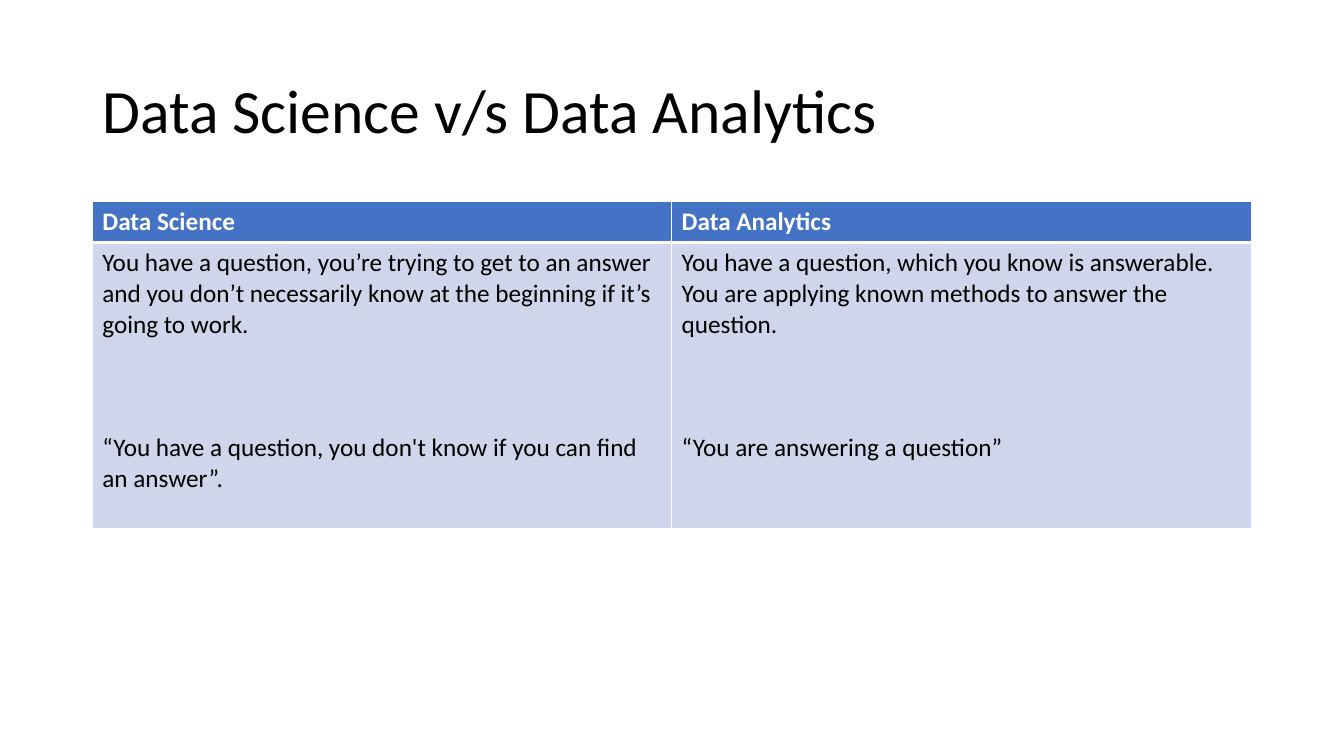
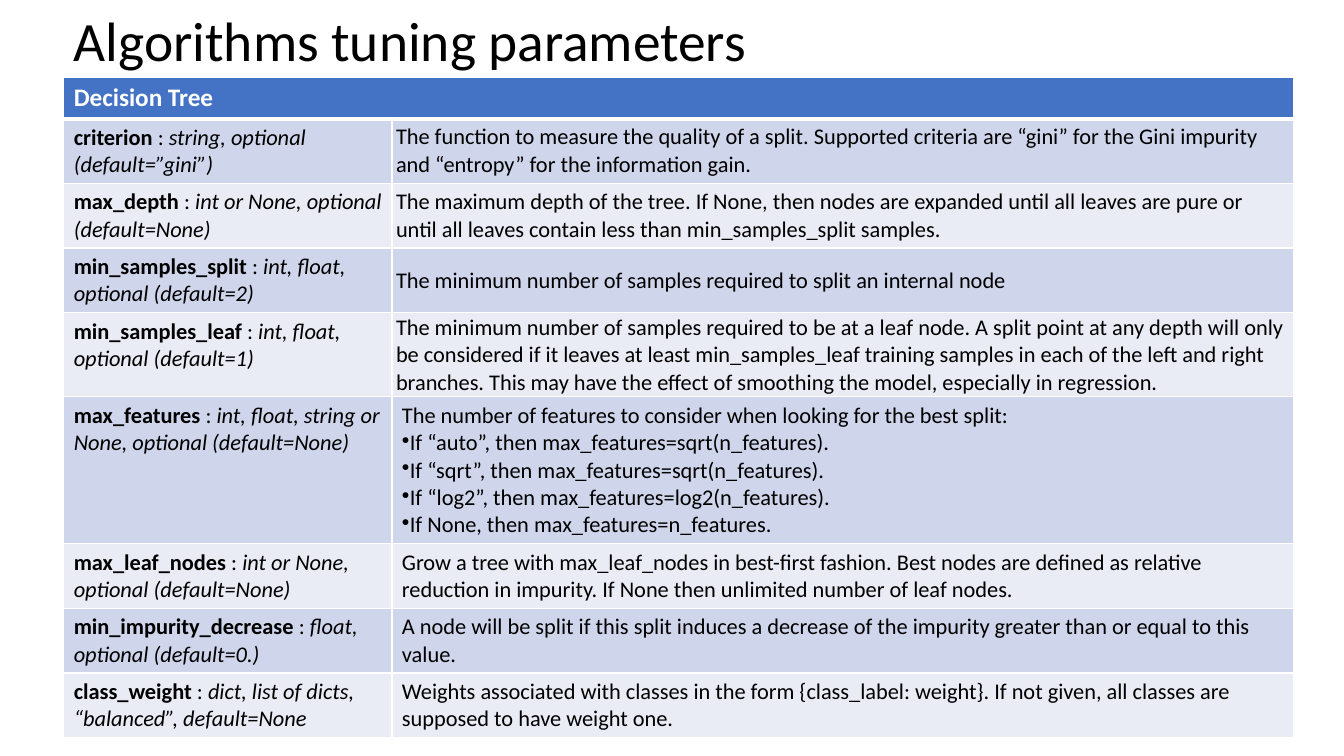
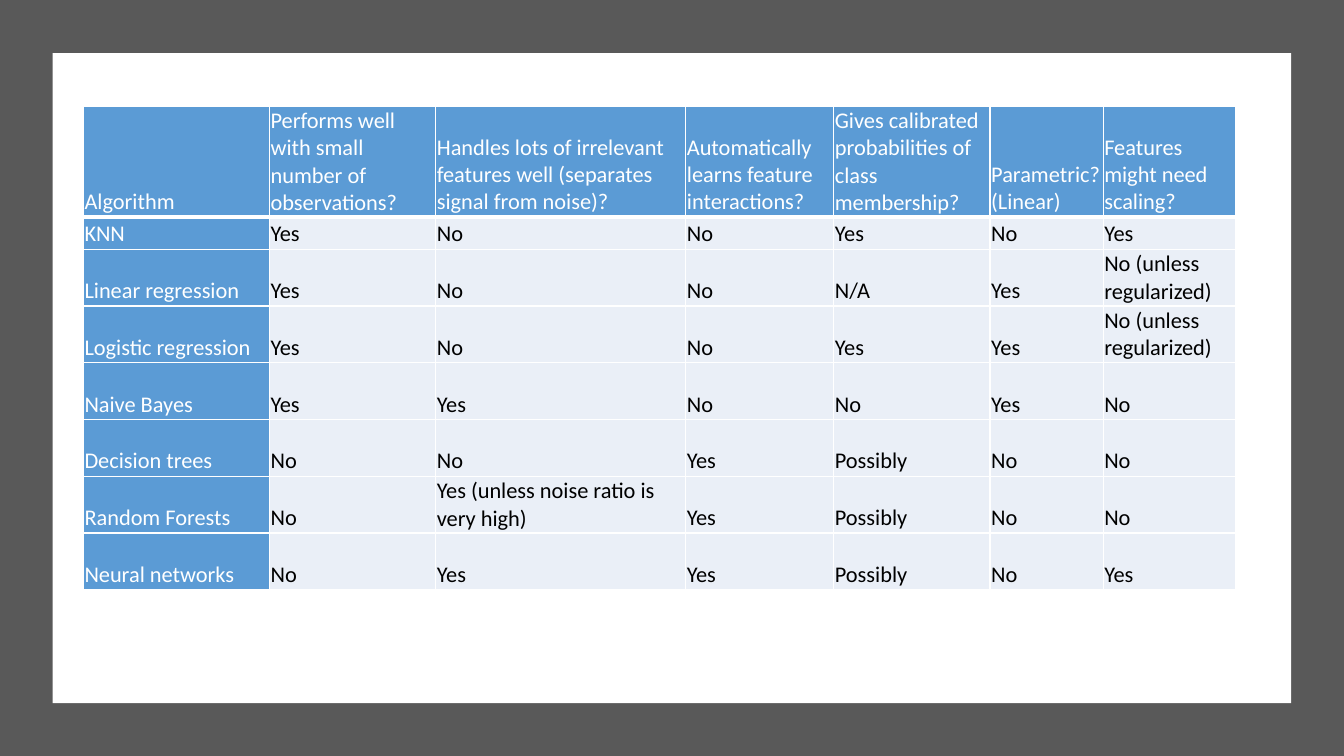
"""Build three slides of tables on data science and its algorithms."""
from lxml import etree
from pptx import Presentation
from pptx.dml.color import RGBColor
from pptx.enum.shapes import MSO_SHAPE
from pptx.enum.text import MSO_ANCHOR
from pptx.oxml.ns import qn
from pptx.util import Cm, Pt

RECT = MSO_SHAPE.RECTANGLE
TOP, MIDDLE, BOTTOM = MSO_ANCHOR.TOP, MSO_ANCHOR.MIDDLE, MSO_ANCHOR.BOTTOM
FONT = "Calibri"
COLORS = {
    "white": "FFFFFF", "black": "000000", "gray": "595959",
    "head": "4472C4", "dark": "CFD5EA", "light": "E9EBF5",
    "blue": "5B9BD5", "pale": "EAEFF7",
}
WIDE = (0.25, 0.13, 0.25, 0.13)
TIGHT = (0.1, 0.03, 0.18, 0.03)
SLIM = (0.03, 0.03, 0.03, 0.03)

VERSUS = [
    ("Data Science", [
        "You have a question, you’re trying to get to an answer and you don’t "
        "necessarily know at the beginning if it’s going to work.",
        "“You have a question, you don't know if you can find an answer”."]),
    ("Data Analytics", [
        "You have a question, which you know is answerable. You are applying "
        "known methods to answer the question.",
        "“You are answering a question”"]),
]

PARAMS = [
    ("criterion", "string, optional (default=”gini”)", [
        "The function to measure the quality of a split. Supported criteria are "
        "“gini” for the Gini impurity and “entropy” for the information gain."]),
    ("max_depth", "int or None, optional (default=None)", [
        "The maximum depth of the tree. If None, then nodes are expanded until all "
        "leaves are pure or until all leaves contain less than min_samples_split "
        "samples."]),
    ("min_samples_split", "int, float, optional (default=2)", [
        "The minimum number of samples required to split an internal node"]),
    ("min_samples_leaf", "int, float, optional (default=1)", [
        "The minimum number of samples required to be at a leaf node. A split point "
        "at any depth will only be considered if it leaves at least min_samples_leaf "
        "training samples in each of the left and right branches. This may have the "
        "effect of smoothing the model, especially in regression."]),
    ("max_features", "int, float, string or None, optional (default=None)", [
        "The number of features to consider when looking for the best split:",
        "If “auto”, then max_features=sqrt(n_features).",
        "If “sqrt”, then max_features=sqrt(n_features).",
        "If “log2”, then max_features=log2(n_features).",
        "If None, then max_features=n_features."]),
    ("max_leaf_nodes", "int or None, optional (default=None)", [
        "Grow a tree with max_leaf_nodes in best-first fashion. Best nodes are "
        "defined as relative reduction in impurity. If None then unlimited number "
        "of leaf nodes."]),
    ("min_impurity_decrease", "float, optional (default=0.)", [
        "A node will be split if this split induces a decrease of the impurity "
        "greater than or equal to this value."]),
    ("class_weight", "dict, list of dicts, “balanced”, default=None", [
        "Weights associated with classes in the form {class_label: weight}. If not "
        "given, all classes are supposed to have weight one."]),
]
TIGHT_ROWS = 4

TRAITS = [
    ("Algorithm", "Performs well with small number of observations?",
     "Handles lots of irrelevant features well (separates signal from noise)?",
     "Automatically learns feature interactions?",
     "Gives calibrated probabilities of class membership?",
     "Parametric? (Linear)", "Features might need scaling?"),
    ("KNN", "Yes", "No", "No", "Yes", "No", "Yes"),
    ("Linear regression", "Yes", "No", "No", "N/A", "Yes", "No (unless regularized)"),
    ("Logistic regression", "Yes", "No", "No", "Yes", "Yes", "No (unless regularized)"),
    ("Naive Bayes", "Yes", "Yes", "No", "No", "Yes", "No"),
    ("Decision trees", "No", "No", "Yes", "Possibly", "No", "No"),
    ("Random Forests", "No", "Yes (unless noise ratio is very high)", "Yes",
     "Possibly", "No", "No"),
    ("Neural networks", "No", "Yes", "Yes", "Possibly", "No", "Yes"),
]


def rgb(name):
    return RGBColor.from_string(COLORS[name])


def style(run, size, color="black", bold=False, italic=False):
    font = run.font
    font.name, font.size = FONT, Pt(size)
    font.bold, font.italic = bold, italic
    font.color.rgb = rgb(color)


def add_title(slide, text, box, size):
    frame = slide.shapes.add_textbox(*map(Cm, box)).text_frame
    frame.word_wrap = True
    frame.vertical_anchor = MIDDLE
    frame.text = text
    para = frame.paragraphs[0]
    para.line_spacing = 0.9
    style(para.runs[0], size)


def add_panel(slide, box, color):
    panel = slide.shapes.add_shape(RECT, *map(Cm, box))
    panel.shadow.inherit = False
    panel.fill.solid()
    panel.fill.fore_color.rgb = rgb(color)
    panel.line.fill.background()


def add_grid(slide, left, top, cols, rows):
    shape = slide.shapes.add_table(len(rows), len(cols), Cm(left), Cm(top),
                                   Cm(sum(cols)), Cm(sum(rows)))
    grid = shape.table
    grid.horz_banding = False
    for col, width in zip(grid.columns, cols):
        col.width = Cm(width)
    for row, height in zip(grid.rows, rows):
        row.height = Cm(height)
    for r in range(len(rows)):
        thick = {0: "B", 1: "T"}.get(r)
        for c in range(len(cols)):
            add_edges(grid.cell(r, c), thick)
    return grid


def add_edges(cell, thick):
    props = cell._tc.get_or_add_tcPr()
    for side in "LRTB":
        width = Pt(3 if side == thick else 1)
        line = etree.SubElement(props, qn("a:ln" + side), w=str(width))
        fill = etree.SubElement(line, qn("a:solidFill"))
        etree.SubElement(fill, qn("a:srgbClr"), val=COLORS["white"])


def fill_cell(cell, paras, fill, size, color="black", bold=False,
              anchor=TOP, inset=WIDE):
    cell.fill.solid()
    cell.fill.fore_color.rgb = rgb(fill)
    cell.vertical_anchor = anchor
    (cell.margin_left, cell.margin_top,
     cell.margin_right, cell.margin_bottom) = map(Cm, inset)
    cell.text_frame.text = "\n".join(paras)
    for para in cell.text_frame.paragraphs:
        for run in para.runs:
            style(run, size, color, bold)


def versus_slide(slide):
    add_title(slide, "Data Science v/s Data Analytics", (2.33, 1.01, 29.21, 3.68), 44)
    grid = add_grid(slide, 2.33, 5.08, [14.6] * 2, [1.03, 7.2])
    for c, (head, paras) in enumerate(VERSUS):
        fill_cell(grid.cell(0, c), [head], "head", 18, "white", True)
        body = grid.cell(1, c)
        fill_cell(body, paras, "dark", 18)
        body.text_frame.paragraphs[1].space_before = Pt(66)


def params_slide(slide):
    add_title(slide, "Algorithms tuning parameters", (1.61, 0.23, 29.21, 1.73), 39.6)
    rows = [1.03] + [1.63] * 3 + [2.12, 3.7] + [1.63] * 3
    grid = add_grid(slide, 1.61, 1.96, [8.27, 22.72], rows)
    grid.cell(0, 0).merge(grid.cell(0, 1))
    fill_cell(grid.cell(0, 0), ["Decision Tree"], "head", 18, "white", True)
    for r, (name, kind, notes) in enumerate(PARAMS, 1):
        fill = "dark" if r % 2 else "light"
        label = grid.cell(r, 0)
        fill_cell(label, [name], fill, 16, bold=True)
        for text, slant in ((" : ", False), (kind, True)):
            run = label.text_frame.paragraphs[0].add_run()
            run.text = text
            style(run, 16, italic=slant)
        tight = r <= TIGHT_ROWS
        note = grid.cell(r, 1)
        fill_cell(note, notes, fill, 16, anchor=MIDDLE if tight else TOP,
                  inset=TIGHT if tight else WIDE)
        for para in note.text_frame.paragraphs[1:]:
            props = para._p.get_or_add_pPr()
            etree.SubElement(props, qn("a:buChar"), char="•")


def traits_slide(slide):
    add_panel(slide, (0, 0, 33.87, 19.05), "gray")
    add_panel(slide, (1.33, 1.34, 31.21, 16.38), "white")
    cols = [4.69, 4.19, 6.3, 3.73, 3.94, 2.85, 3.33]
    grid = add_grid(slide, 2.1, 2.67, cols, [2.8, 0.81] + [1.43] * 6)
    for r, row in enumerate(TRAITS):
        for c, text in enumerate(row):
            head = r == 0 or c == 0
            fill_cell(grid.cell(r, c), [text], "blue" if head else "pale", 16,
                      "white" if head and (r, c) != (1, 0) or head else "black",
                      anchor=BOTTOM, inset=SLIM)


def main():
    deck = Presentation()
    deck.slide_width, deck.slide_height = Cm(33.87), Cm(19.05)
    for build in (versus_slide, params_slide, traits_slide):
        build(deck.slides.add_slide(deck.slide_layouts[6]))
    deck.save("out.pptx")


if __name__ == "__main__":
    main()
